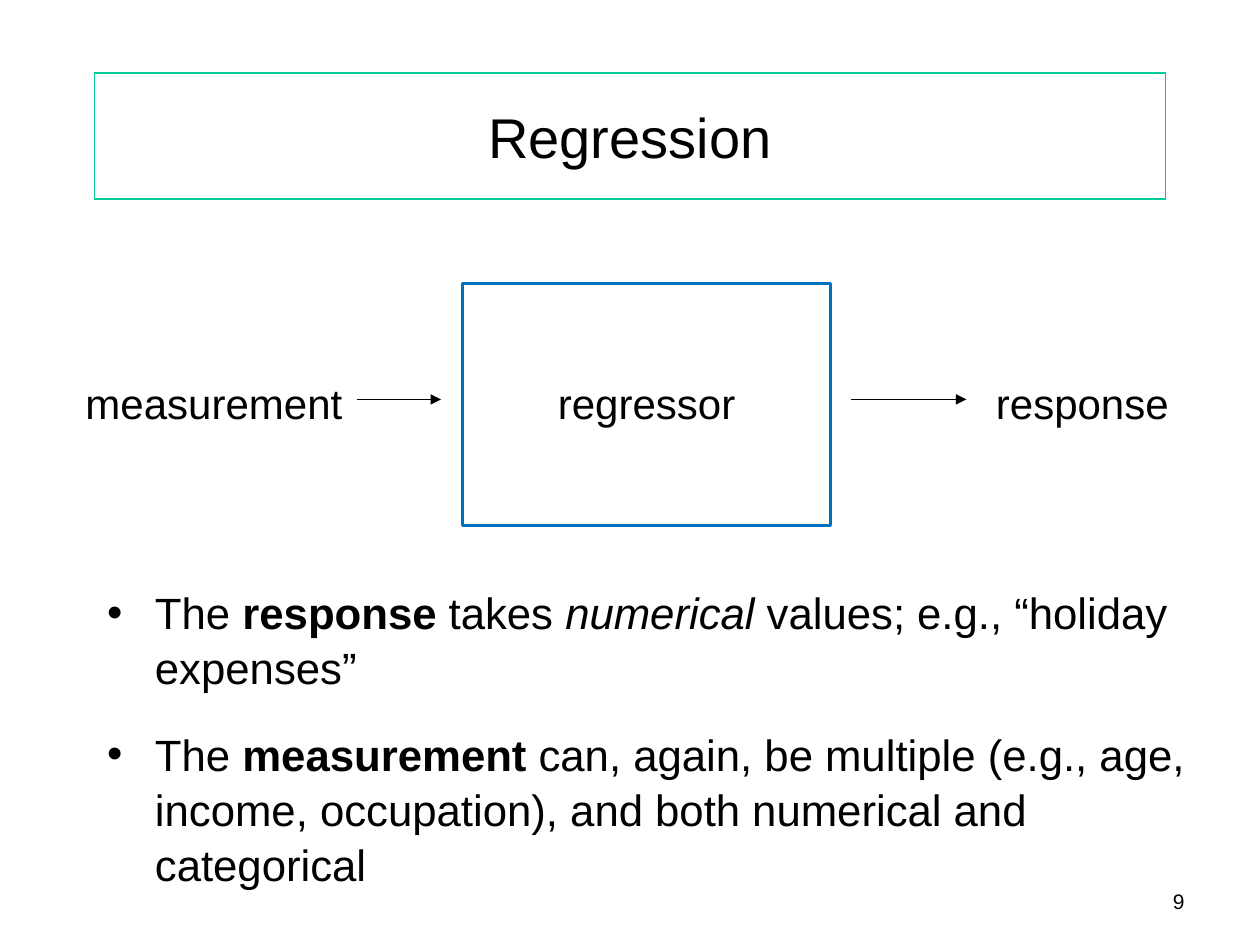
from lxml.etree import SubElement
from pptx import Presentation
from pptx.dml.color import RGBColor
from pptx.enum.shapes import MSO_CONNECTOR, MSO_SHAPE
from pptx.enum.text import MSO_ANCHOR, PP_ALIGN
from pptx.oxml.ns import qn
from pptx.util import Inches, Pt

COLORS = {"text": "000000", "title_line": "00CC99", "box_line": "0070C0"}
FONT = "Arial"
BULLETS = [
    (24, [("The ", ""), ("response", "bold"), (" takes ", ""), ("numerical", "italic"),
          (" values; e.g., “holiday expenses”", "")]),
    (18, [("The ", ""), ("measurement", "bold"),
          (" can, again, be multiple (e.g., age, income, occupation), "
           "and both numerical and categorical", "")]),
]


def color(name):
    return RGBColor.from_string(COLORS[name])


def place(shape, box):
    shape.left, shape.top, shape.width, shape.height = map(Inches, box)


def style_run(run, size, emphasis=""):
    run.font.name = FONT
    run.font.size = Pt(size)
    run.font.color.rgb = color("text")
    run.font.bold = emphasis == "bold"
    run.font.italic = emphasis == "italic"


def set_line(shape, name, width):
    shape.line.color.rgb = color(name)
    shape.line.width = Pt(width)


def add_label(slide, text, box, size=24, alignment=PP_ALIGN.LEFT):
    label = slide.shapes.add_textbox(*map(Inches, box))
    label.text_frame.word_wrap = True
    label.text_frame.text = text
    paragraph = label.text_frame.paragraphs[0]
    paragraph.alignment = alignment
    style_run(paragraph.runs[0], size)


def add_arrow(slide, start, end, height):
    arrow = slide.shapes.add_connector(
        MSO_CONNECTOR.STRAIGHT, Inches(start), Inches(height), Inches(end), Inches(height))
    set_line(arrow, "text", 0.75)
    SubElement(arrow.line._get_or_add_ln(), qn("a:tailEnd"), type="triangle")
    SubElement(arrow._element.spPr, qn("a:effectLst"))


def add_title(slide, box):
    title = slide.shapes.title
    place(title, box)
    set_line(title, "title_line", 0.75)
    title.text_frame.text = "Regression"
    title.text_frame.vertical_anchor = MSO_ANCHOR.MIDDLE
    paragraph = title.text_frame.paragraphs[0]
    paragraph.alignment = PP_ALIGN.CENTER
    style_run(paragraph.runs[0], 32)


def add_diagram(slide, box):
    left, top, width, height = box
    middle = top + height / 2
    label_top = middle - 0.26
    regressor = slide.shapes.add_shape(
        MSO_SHAPE.RECTANGLE, *map(Inches, (left + 3.09, top, 2.92, height)))
    regressor.shadow.inherit = False
    regressor.fill.background()
    set_line(regressor, "box_line", 2)
    add_label(slide, "measurement", (left, label_top, 2.25, 0.51))
    add_label(slide, "regressor", (left + 3.75, label_top, 1.67, 0.51))
    add_label(slide, "response", (left + width - 1.92, label_top, 1.92, 0.51),
              alignment=PP_ALIGN.CENTER)
    add_arrow(slide, left + 2.25, left + 2.92, middle - 0.04)
    add_arrow(slide, left + 6.17, left + 7.09, middle - 0.04)


def add_bullets(slide, box):
    body = slide.placeholders[1]
    place(body, box)
    frame = body.text_frame
    frame.margin_right = Inches(0.05)
    for index, (space, parts) in enumerate(BULLETS):
        paragraph = frame.add_paragraph() if index else frame.paragraphs[0]
        paragraph.space_before = Pt(space)
        paragraph.line_spacing = 1.05
        properties = paragraph._p.get_or_add_pPr()
        properties.set("marL", str(Inches(0.38)))
        properties.set("indent", str(-Inches(0.38)))
        SubElement(properties, qn("a:buChar"), char="•")
        for text, emphasis in parts:
            run = paragraph.add_run()
            run.text = text
            style_run(run, 25, emphasis)


def main():
    presentation = Presentation()
    presentation.slide_width = Inches(10)
    presentation.slide_height = Inches(7.5)
    slide = presentation.slides.add_slide(presentation.slide_layouts[1])
    add_title(slide, (0.75, 0.58, 8.5, 1))
    add_bullets(slide, (0.75, 4.58, 8.75, 2.54))
    add_diagram(slide, (0.58, 2.25, 8.97, 1.92))
    add_label(slide, "9", (9, 7, 0.5, 0.33), 12, PP_ALIGN.RIGHT)
    presentation.save("out.pptx")


if __name__ == "__main__":
    main()
